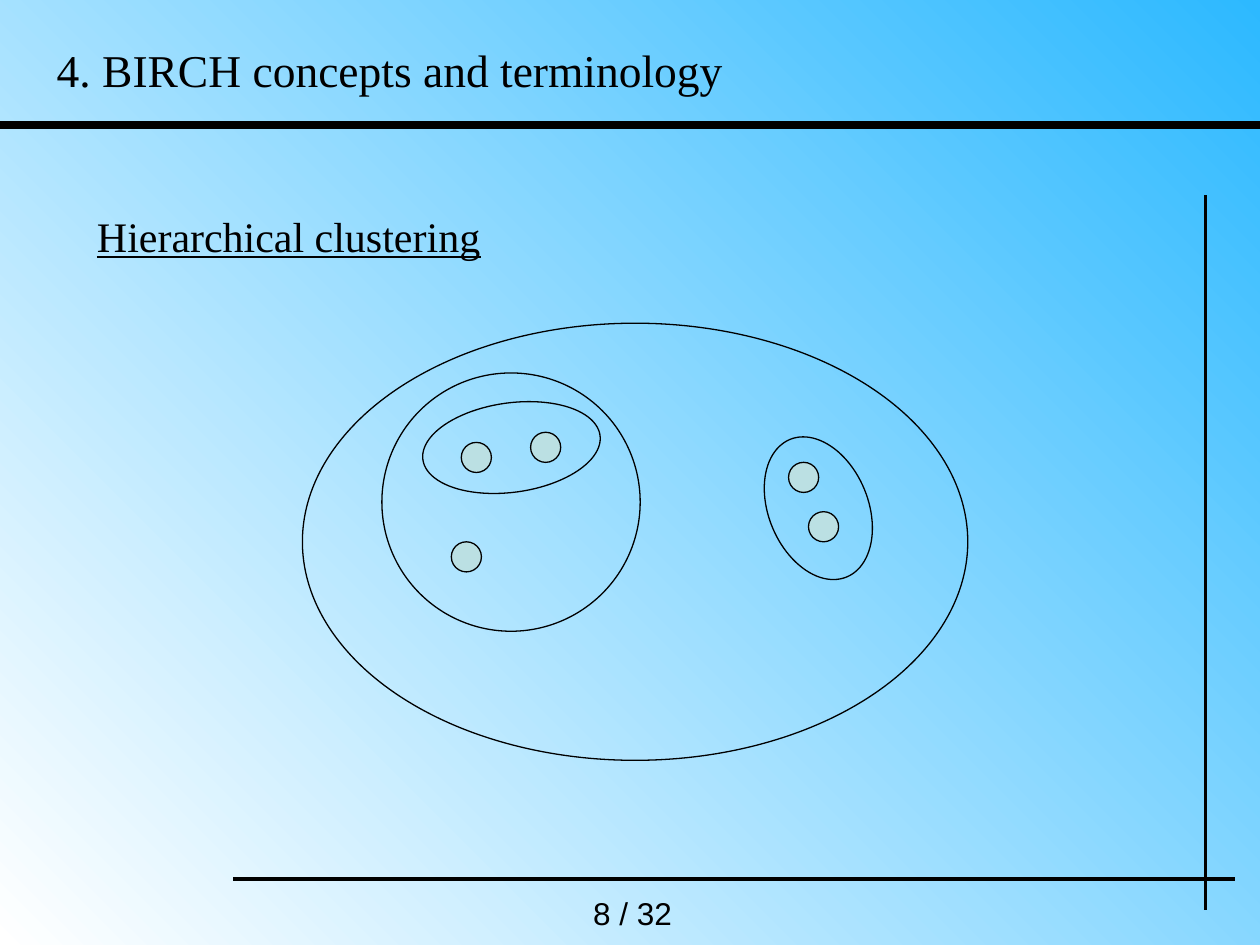
from lxml.etree import SubElement
from pptx import Presentation
from pptx.dml.color import RGBColor
from pptx.enum.shapes import MSO_CONNECTOR, MSO_SHAPE
from pptx.enum.text import MSO_ANCHOR, MSO_AUTO_SIZE, PP_ALIGN
from pptx.oxml.ns import qn
from pptx.util import Pt

BLACK, DOT_FILL = "000000", "BBE0E3"
GRADIENT = ["FFFFFF", "2DB9FF"]
SERIF, SANS = "Times New Roman", "Arial"

TITLE = ("4. BIRCH concepts and terminology", (25.2, 20.2, 680.4, 38.9), SERIF, 26)
HEADING = ("Hierarchical clustering", (48.2, 116.6, 612, 36), SERIF, 24)
PAGE = ("8 / 32", (331.9, 507.6, 73.4, 28.8), SANS, 18)

RULES = [
    ((0, 71.4), (720, 71.4), 4.5),
    ((133.2, 502.4), (705.6, 502.4), 2),
    ((689, 519.8), (689, 111.6), 2),
]

DOT_SIZE = 17.2
DOTS = [(272.2, 261.4), (266.5, 318.2), (311.8, 255.6), (459.2, 272.8), (470.6, 301)]
CLUSTERS = [
    ((241.2, 230.2, 102.2, 51.1), -7.8),
    ((439.2, 247.9, 56.9, 85), -22.4),
    ((218.2, 213.1, 147.6, 147.6), 0),
    ((172.8, 184.7, 380.2, 249.8), 0),
]


def rgb(value):
    return RGBColor.from_string(value)


def write(sp, content):
    text, box, font, size = content
    sp.left, sp.top, sp.width, sp.height = map(Pt, box)
    tf = sp.text_frame
    tf.text = text
    tf.word_wrap = True
    tf.auto_size = MSO_AUTO_SIZE.NONE
    tf.vertical_anchor = MSO_ANCHOR.TOP
    p = tf.paragraphs[0]
    p.alignment = PP_ALIGN.LEFT
    p.space_before = Pt(0)
    r = p.runs[0]
    r.font.name, r.font.size = font, Pt(size)
    r.font.color.rgb = rgb(BLACK)
    return p


def add_rule(s, start, end, width):
    line = s.shapes.add_connector(MSO_CONNECTOR.STRAIGHT, *map(Pt, start + end))
    line.line.color.rgb = rgb(BLACK)
    line.line.width = Pt(width)
    SubElement(line._element.spPr, qn("a:effectLst"))


def add_ellipse(s, box, fill=None, rotation=0):
    sp = s.shapes.add_shape(MSO_SHAPE.OVAL, *map(Pt, box))
    sp.shadow.inherit = False
    sp.rotation = rotation
    if fill:
        sp.fill.solid()
        sp.fill.fore_color.rgb = rgb(fill)
    else:
        sp.fill.background()
    sp.line.color.rgb = rgb(BLACK)
    sp.line.width = Pt(0.75)


def main():
    prs = Presentation()
    prs.slide_width, prs.slide_height = Pt(720), Pt(540)
    s = prs.slides.add_slide(prs.slide_layouts[1])

    fill = s.background.fill
    fill.gradient()
    fill.gradient_angle = 45
    for stop, color, position in zip(fill.gradient_stops, GRADIENT, (0, 1)):
        stop.color.rgb = rgb(color)
        stop.position = position

    for rule in RULES:
        add_rule(s, *rule)

    write(s.shapes.title, TITLE)
    p = write(s.placeholders[1], HEADING)
    p.runs[0].font.underline = True
    pPr = p._p.get_or_add_pPr()
    pPr.set("marL", "0")
    pPr.set("indent", "0")
    SubElement(pPr, qn("a:buNone"))
    write(s.shapes.add_textbox(0, 0, 0, 0), PAGE)

    for x, y in DOTS:
        add_ellipse(s, (x - DOT_SIZE / 2, y - DOT_SIZE / 2, DOT_SIZE, DOT_SIZE), DOT_FILL)
    for box, rotation in CLUSTERS:
        add_ellipse(s, box, rotation=rotation)

    prs.save("out.pptx")


if __name__ == "__main__":
    main()
